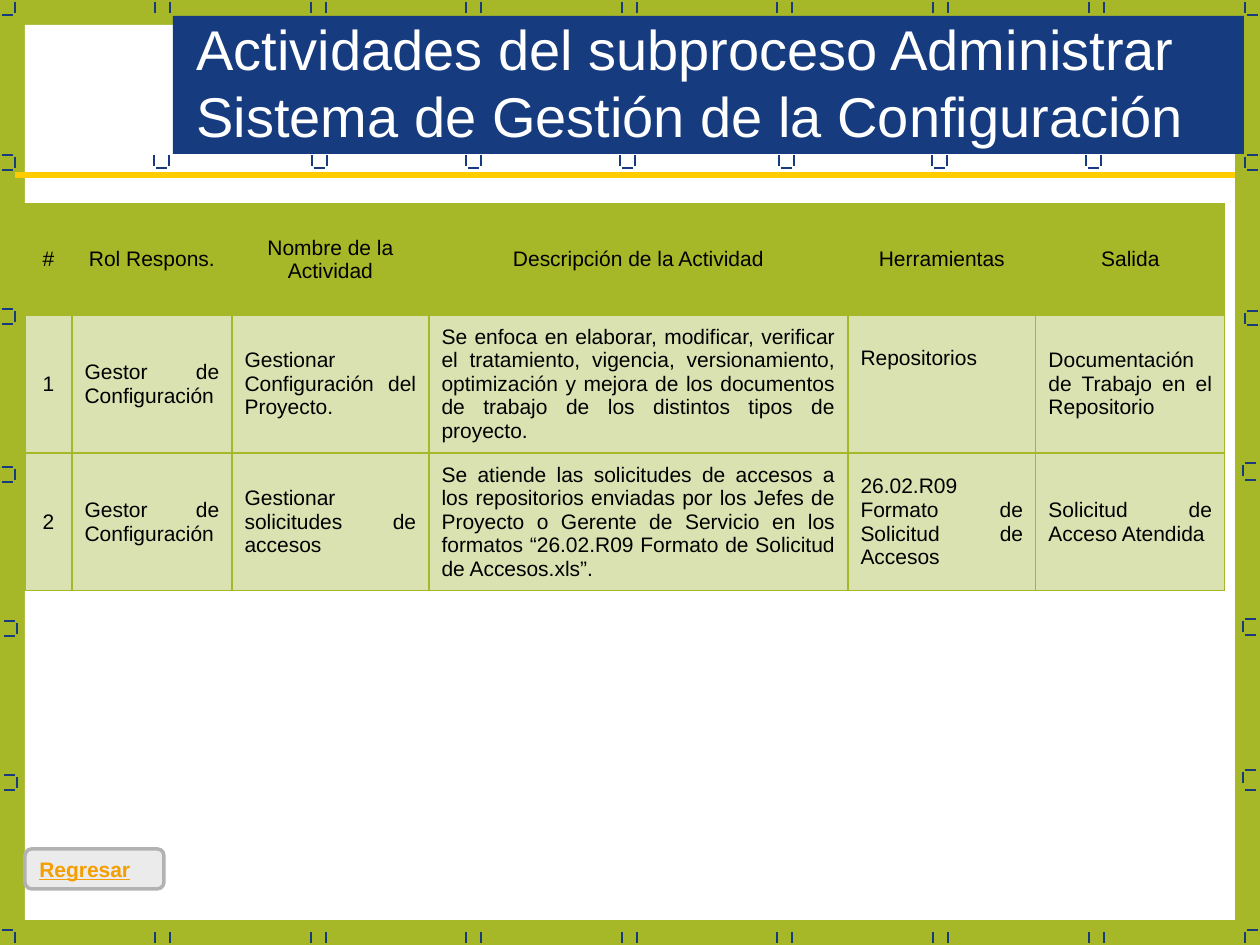
import lxml.etree
import pptx
import pptx.dml.color
import pptx.enum.shapes
import pptx.enum.text
import pptx.oxml
import pptx.oxml.ns
import pptx.util

RGBColor = pptx.dml.color.RGBColor
SHAPE = pptx.enum.shapes.MSO_SHAPE
ALIGN = pptx.enum.text.PP_ALIGN
ANCHOR = pptx.enum.text.MSO_ANCHOR
qualified = pptx.oxml.ns.qn

GREEN = RGBColor(0xA6, 0xB7, 0x27)
PALE_GREEN = RGBColor(0xDA, 0xE2, 0xB1)
NAVY = RGBColor(0x16, 0x3B, 0x7F)
YELLOW = RGBColor(0xFF, 0xCC, 0x00)
ORANGE = RGBColor(0xF5, 0x9E, 0x00)
GRAY = RGBColor(0xB2, 0xB2, 0xB2)
WHITE = RGBColor(0xFF, 0xFF, 0xFF)
BLACK = RGBColor(0x00, 0x00, 0x00)

SCALE = 914400 // 126
WIDTH, HEIGHT = 1260, 945
MARK = 15  # side of a border mark
FAR_X, FAR_Y = WIDTH - MARK, HEIGHT - MARK

HEADINGS = ["#", "Rol Respons.", "Nombre de la Actividad",
            "Descripción de la Actividad", "Herramientas", "Salida"]
ACTIVITIES = [
    ["1", "Gestor de Configuración", "Gestionar Configuración del Proyecto.",
     "Se enfoca en elaborar, modificar, verificar el tratamiento, vigencia, "
     "versionamiento, optimización y mejora de los documentos de trabajo de "
     "los distintos tipos de proyecto.",
     "Repositorios", "Documentación de Trabajo en el Repositorio"],
    ["2", "Gestor de Configuración", "Gestionar solicitudes de accesos",
     "Se atiende las solicitudes de accesos a los repositorios enviadas por "
     "los Jefes de Proyecto o Gerente de Servicio en los formatos "
     "“26.02.R09 Formato de Solicitud de Accesos.xls”.",
     "26.02.R09 Formato de Solicitud de Accesos",
     "Solicitud de Acceso Atendida"],
]


def px(*lengths):
    """Turn whole pixels into a list of EMU lengths."""
    return [pptx.util.Emu(length * SCALE) for length in lengths]


def write(frame, text, size=12, color=BLACK, bold=False, underline=False,
          align=ALIGN.LEFT):
    """Write one formatted paragraph in a text frame."""
    para = frame.paragraphs[0]
    para.alignment = align
    span = para.add_run()
    span.text = text
    span.font.name = "Arial"
    span.font.size = pptx.util.Pt(size)
    span.font.color.rgb = color
    span.font.bold = bold
    span.font.underline = underline


def add_box(page, box, fill, kind=SHAPE.RECTANGLE):
    """Add a filled shape without outline or shadow."""
    shape = page.shapes.add_shape(kind, *px(*box))
    shape.shadow.inherit = False
    shape.fill.solid()
    shape.fill.fore_color.rgb = fill
    shape.line.fill.background()
    return shape


def add_line(page, start, end, color=NAVY, width=0.75):
    """Add a straight line without shadow."""
    line = page.shapes.add_connector(
        pptx.enum.shapes.MSO_CONNECTOR.STRAIGHT, *px(*start, *end))
    line.line.color.rgb = color
    line.line.width = pptx.util.Pt(width)
    lxml.etree.SubElement(line.element.spPr, qualified("a:effectLst"))


def add_mark(page, left, top, sides, height=MARK):
    """Draw short ticks on the named sides (L, R, T, B) of a small square."""
    for side in sides:
        if side in "LR":
            x = left + (MARK if side == "R" else 0)
            add_line(page, (x, top + 2), (x, top + 13))
        else:
            y = top + (height if side == "B" else 0)
            add_line(page, (left + 2, y), (left + 13, y))


def add_border(page):
    """Place the green frame, the white panel, the title band and the marks."""
    page.background.fill.solid()
    page.background.fill.fore_color.rgb = GREEN
    add_box(page, (25, 25, 1210, 895), WHITE)
    add_box(page, (173, 16, 1071, 138), NAVY)
    for x, inner, outer in ((0, "RB", "RT"), (FAR_X, "LB", "LT")):
        add_mark(page, x, 0, inner)
        add_mark(page, x, FAR_Y, outer)
    for index in range(7):
        x = 155 + round(155.6 * index)
        add_mark(page, x, 0, "LR")
        add_mark(page, x, FAR_Y, "LR")
    for x in (154, 312, 466, 620, 779, 932, 1086):
        add_mark(page, x, 153, "LRB")
    for x, y in ((0, 155), (0, 309), (0, 467), (2, 621), (2, 775)):
        add_mark(page, x, y, "RTB")
    for x, y, height in ((FAR_X, 155, 15), (FAR_X, 311, 14),
                         (FAR_X - 2, 463, 17), (FAR_X - 2, 619, 16),
                         (FAR_X - 2, 770, 20)):
        add_mark(page, x, y, "LTB", height)


def set_borders(cell, color, width):
    """Give all four sides of a cell the same line."""
    properties = cell._tc.get_or_add_tcPr()
    for index, side in enumerate(("lnL", "lnR", "lnT", "lnB")):
        properties.insert(index, pptx.oxml.parse_xml(
            f'<a:{side} {pptx.oxml.ns.nsdecls("a")} '
            f'w="{pptx.util.Pt(width)}"><a:solidFill>'
            f'<a:srgbClr val="{color}"/></a:solidFill></a:{side}>'))


def add_activities(page, left, top):
    """Place the table of activities from its top left corner."""
    widths = (47, 160, 197, 419, 188, 189)
    heights = (111, 138, 138)
    rows = [HEADINGS] + ACTIVITIES
    table = page.shapes.add_table(
        len(rows), len(widths),
        *px(left, top, sum(widths), sum(heights))).table
    for column, width in zip(table.columns, px(*widths)):
        column.width = width
    for row, height in zip(table.rows, px(*heights)):
        row.height = height
    for row_index, texts in enumerate(rows):
        for column_index, text in enumerate(texts):
            cell = table.cell(row_index, column_index)
            centred = row_index == 0 or column_index == 0
            cell.vertical_anchor = ANCHOR.MIDDLE
            cell.fill.solid()
            cell.fill.fore_color.rgb = PALE_GREEN if row_index else GREEN
            set_borders(cell, GREEN, 0.79)
            write(cell.text_frame, text,
                  align=ALIGN.CENTER if centred else ALIGN.JUSTIFY)
    table.cell(1, 4).margin_bottom = px(58)[0]


def add_return_button(page, box):
    """Place the translucent button at the foot."""
    button = add_box(page, box, GRAY, SHAPE.FLOWCHART_ALTERNATE_PROCESS)
    color = button.element.spPr.find(
        f'{qualified("a:solidFill")}/{qualified("a:srgbClr")}')
    lxml.etree.SubElement(color, qualified("a:alpha"), val="25000")
    button.line.color.rgb = GRAY
    button.line.width = pptx.util.Pt(2)
    button.text_frame.word_wrap = False
    button.text_frame.vertical_anchor = ANCHOR.MIDDLE
    write(button.text_frame, "Regresar", color=ORANGE, bold=True,
          underline=True)


def set_title(page, box, text):
    """Move the title placeholder over the band and write in it."""
    title = page.shapes.title
    title.left, title.top, title.width, title.height = px(*box)
    title.element.getparent().append(title.element)
    frame = title.text_frame
    frame.word_wrap = True
    frame.auto_size = pptx.enum.text.MSO_AUTO_SIZE.NONE
    frame.vertical_anchor = ANCHOR.TOP
    write(frame, text, size=32, color=WHITE)


def main():
    """Build the deck and save it."""
    deck = pptx.Presentation()
    deck.slide_width, deck.slide_height = px(WIDTH, HEIGHT)
    page = deck.slides.add_slide(deck.slide_layouts[5])
    add_border(page)
    add_activities(page, 25, 204)
    add_return_button(page, (25, 849, 139, 40))
    set_title(page, (184, 8, 1138, 147),
              "Actividades del subproceso Administrar "
              "Sistema de Gestión de la Configuración")
    add_line(page, (15, 175), (1235, 175), YELLOW, 3)
    deck.save("out.pptx")


main()
